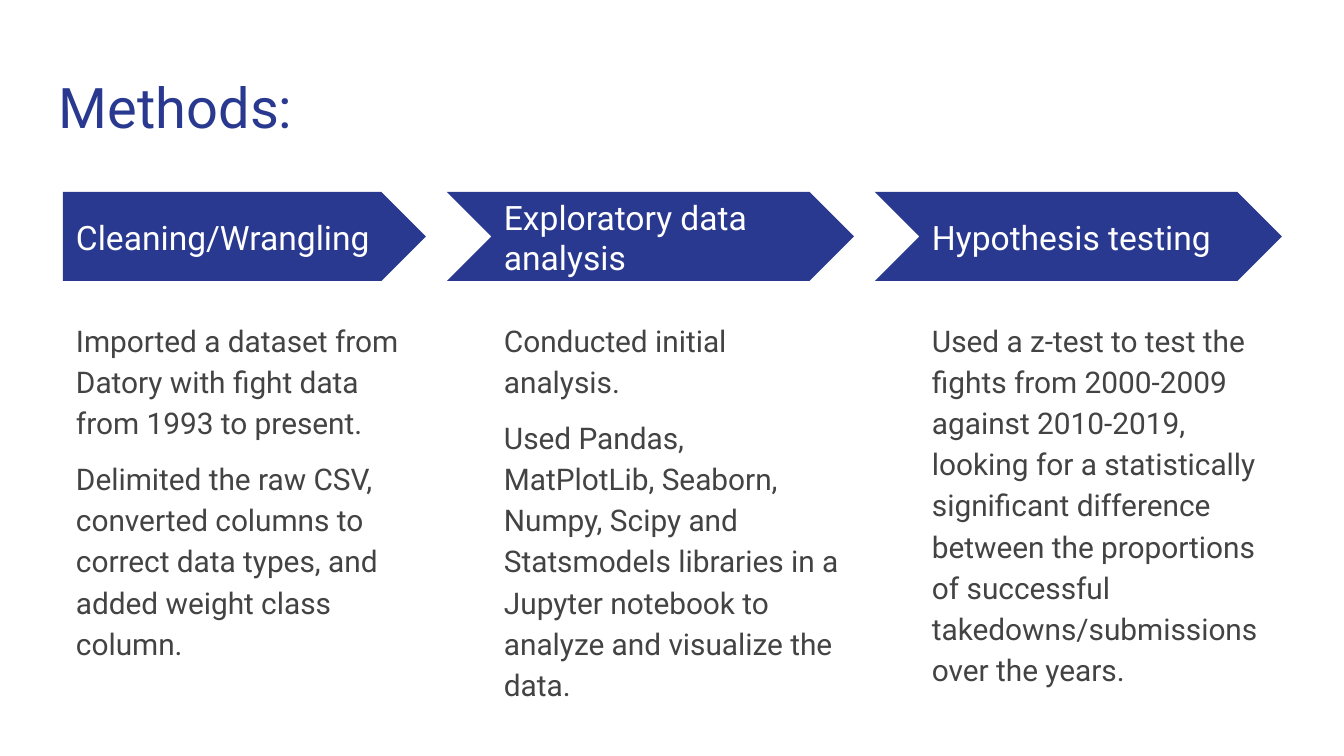
from pptx import Presentation
from pptx.dml.color import RGBColor
from pptx.enum.shapes import MSO_SHAPE
from pptx.enum.text import MSO_ANCHOR
from pptx.util import Pt

PENTAGON, CHEVRON = MSO_SHAPE.PENTAGON, MSO_SHAPE.CHEVRON
TOP, MIDDLE = MSO_ANCHOR.TOP, MSO_ANCHOR.MIDDLE
EMU_PER_PX = 914400 / 134.4
NAVY, GREY, WHITE = "2A3990", "434343", "FFFFFF"
FONT = "Roboto"
INSET = 13
FIRST_COLUMN, COLUMN_PITCH = 63, 428
COLUMN_WIDTH, NOTCH = 363, 44

STEPS = [
    ("Cleaning/Wrangling", [
        "Imported a dataset from Datory with fight data from 1993 to present.",
        "Delimited the raw CSV, converted columns to correct data types, "
        "and added weight class column."]),
    ("Exploratory data analysis", [
        "Conducted initial analysis.",
        "Used Pandas, MatPlotLib, Seaborn, Numpy, Scipy and Statsmodels libraries "
        "in a Jupyter notebook to analyze and visualize the data."]),
    ("Hypothesis testing", [
        "Used a z-test to test the fights from 2000-2009 against 2010-2019, "
        "looking for a statistically significant difference between the proportions "
        "of successful takedowns/submissions over the years."]),
]


def px(length):
    return round(length * EMU_PER_PX)


def color(value):
    return RGBColor.from_string(value)


class MethodsSlide:
    """Draw styled elements on the current slide."""

    def __init__(self, slide):
        self.slide = slide

    def arrow(self, preset, left, top, width, height):
        arrow = self.slide.shapes.add_shape(
            preset, px(left), px(top), px(width), px(height))
        arrow.adjustments[0] = 0.5
        arrow.shadow.inherit = False
        arrow.fill.solid()
        arrow.fill.fore_color.rgb = color(NAVY)
        arrow.line.fill.background()

    def text(self, paragraphs, left, top, width, height, size, ink,
             anchor=TOP, line_spacing=1.0, gap=0):
        box = self.slide.shapes.add_textbox(px(left), px(top), px(width), px(height))
        frame = box.text_frame
        frame.word_wrap = True
        frame.vertical_anchor = anchor
        frame.margin_left = frame.margin_right = px(INSET)
        frame.margin_top = frame.margin_bottom = px(INSET)
        frame.text = "\n".join(paragraphs)
        for index, paragraph in enumerate(frame.paragraphs):
            paragraph.line_spacing = line_spacing
            paragraph.space_before = Pt(gap if index else 0)
            paragraph.font.name = FONT
            paragraph.font.size = Pt(size)
            paragraph.font.color.rgb = color(ink)


def main():
    deck = Presentation()
    deck.slide_width, deck.slide_height = px(1344), px(756)
    methods = MethodsSlide(deck.slides.add_slide(deck.slide_layouts[6]))
    methods.text(["Methods:"], 46, 60, 1252, 89, 30, NAVY)
    for index, (heading, details) in enumerate(STEPS):
        left = FIRST_COLUMN + index * COLUMN_PITCH
        notch = NOTCH if index else 0
        methods.arrow(CHEVRON if index else PENTAGON,
                      left - notch, 192, COLUMN_WIDTH + notch, 89)
        methods.text([heading], left, 214, 332, 46, 18, WHITE, anchor=MIDDLE)
        methods.text(details, left, 304, COLUMN_WIDTH, 390, 16, GREY,
                     line_spacing=1.15, gap=8)
    deck.save("out.pptx")


if __name__ == "__main__":
    main()
